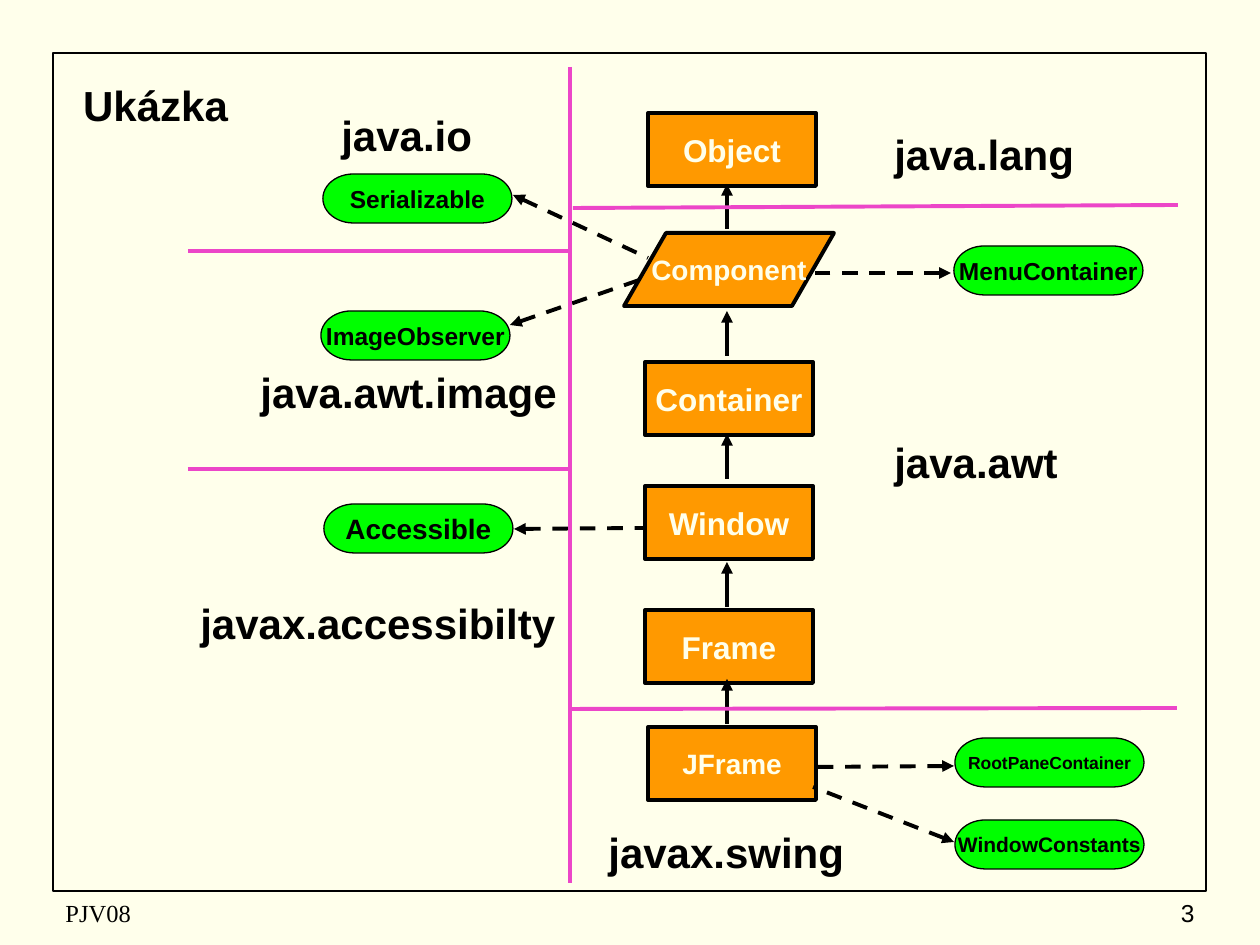
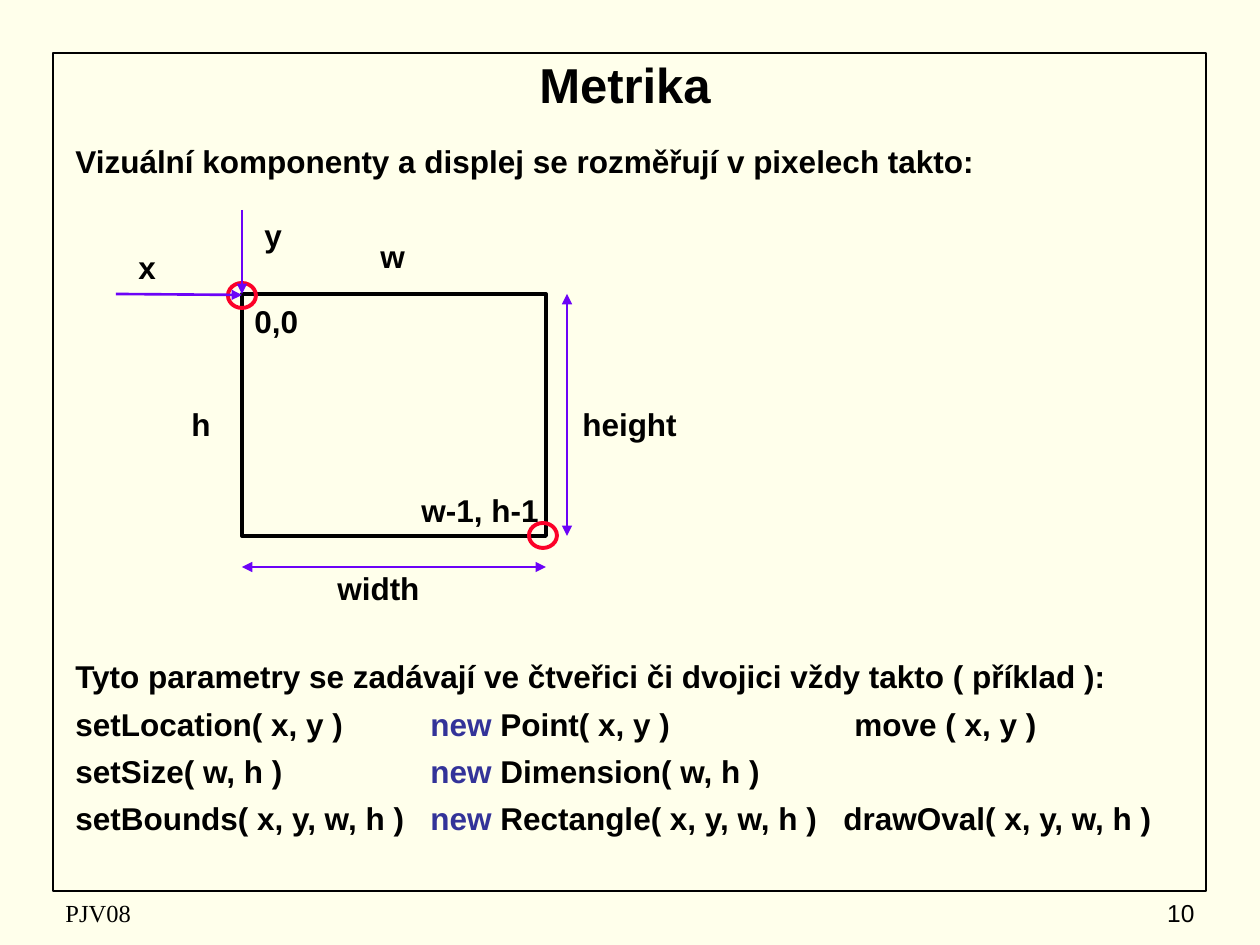
from collections import namedtuple

from lxml import etree
from pptx import Presentation
from pptx import util as u
from pptx.dml.color import RGBColor
from pptx.enum import dml, shapes, text
from pptx.oxml import ns

PX = u.Inches(1) / 126
TITLE_ONLY = 5
COLORS = {
    "paper": "FFFFEB", "ink": "000000", "class": "FF9900", "interface": "00FF00",
    "divider": "EC46C8", "measure": "6C03F7", "corner": "FC0128", "keyword": "333399",
}
Box = namedtuple("Box", "left top width height")
FRAME = Box(53, 53, 1153, 838)
LEFT, CENTER, RIGHT = text.PP_ALIGN.LEFT, text.PP_ALIGN.CENTER, text.PP_ALIGN.RIGHT
TOP, MIDDLE = text.MSO_ANCHOR.TOP, text.MSO_ANCHOR.MIDDLE


# Shared drawing helpers
def px(value):
    return u.Emu(round(value * PX))


def rgb(name):
    return RGBColor.from_string(COLORS[name])


def within(region, left, top, width, height):
    return Box(region.left + left, region.top + top, width, height)


def add_span(para, words, size, color="ink", bold=True, font="Arial"):
    span = para.add_run()
    span.text = words
    span.font.name = font
    span.font.size = u.Pt(size)
    span.font.bold = bold
    span.font.color.rgb = rgb(color)


def set_text(shape, words, size, align=CENTER, anchor=MIDDLE, wrap=True, **style):
    frame = shape.text_frame
    frame.auto_size = text.MSO_AUTO_SIZE.NONE
    frame.word_wrap = wrap
    frame.vertical_anchor = anchor
    frame.margin_left = frame.margin_right = u.Inches(0.1)
    frame.margin_top = frame.margin_bottom = u.Inches(0.05)
    para = frame.paragraphs[0]
    para.alignment = align
    if words:
        add_span(para, words, size, **style)
    return frame


def add_label(page, box, words, size, align=LEFT, anchor=TOP, **style):
    label = page.shapes.add_textbox(*map(px, box))
    return set_text(label, words, size, align, anchor, **style)


def add_outline(page, kind, box, line_width, line="ink", fill=None):
    shape = page.shapes.add_shape(kind, *map(px, box))
    shape.shadow.inherit = False
    if fill:
        shape.fill.solid()
        shape.fill.fore_color.rgb = rgb(fill)
    else:
        shape.fill.background()
    shape.line.color.rgb = rgb(line)
    shape.line.width = u.Pt(line_width)
    return shape


def add_line(page, region, ends, color="ink", width=2.25, dashed=False, arrows=()):
    """Draw from (x1, y1) to (x2, y2); arrows holds headEnd and/or tailEnd."""
    x1, y1, x2, y2 = ends
    line = page.shapes.add_connector(
        shapes.MSO_CONNECTOR.STRAIGHT,
        px(region.left + x1), px(region.top + y1),
        px(region.left + x2), px(region.top + y2))
    line.line.color.rgb = rgb(color)
    line.line.width = u.Pt(width)
    if dashed:
        line.line.dash_style = dml.MSO_LINE.DASH
    properties = line.line._get_or_add_ln()
    for arrow in arrows:
        etree.SubElement(properties, ns.qn("a:" + arrow), type="triangle")
    etree.SubElement(line._element.spPr, ns.qn("a:effectLst"))


def add_page(deck, title, box, size, anchor, number):
    page = deck.slides.add_slide(deck.slide_layouts[TITLE_ONLY])
    add_outline(page, shapes.MSO_SHAPE.RECTANGLE, FRAME, 1)
    heading = page.shapes.title
    heading.left, heading.top, heading.width, heading.height = map(px, box)
    set_text(heading, title, size, anchor=anchor)
    # Footer
    add_label(page, Box(53, 892, 398, 42), "PJV08", 14, anchor=MIDDLE,
              bold=False, font="Times New Roman")
    add_label(page, Box(945, 892, 262, 42), number, 14, RIGHT, MIDDLE, bold=False)
    return page


# Class diagram
def draw_classes(page, region):
    rectangle = shapes.MSO_SHAPE.RECTANGLE
    classes = [
        ("Object", 18, 3, 0, 168, rectangle),
        ("Component", 16, -21, 120, 210, shapes.MSO_SHAPE.FLOWCHART_DATA),
        ("Container", 18, 0, 249, 168, rectangle),
        ("Window", 18, 0, 373, 168, rectangle),
        ("Frame", 18, 0, 497, 168, rectangle),
        ("JFrame", 16, 3, 614, 168, rectangle),
    ]
    for name, size, left, top, width, kind in classes:
        shape = add_outline(page, kind, within(region, left, top, width, 73),
                            2.25, fill="class")
        set_text(shape, name, size, wrap=False, color="paper")
    for top in (71, 198, 321, 449, 566):
        add_line(page, region, (82, top, 82, top + 45), arrows=["headEnd"])


def draw_interfaces(page, region):
    # Name, text size, left, top, ends of the arrow from the class
    interfaces = [
        ("Serializable", 14, 270, 121, (595, 205, 460, 142)),
        ("ImageObserver", 14, 268, 258, (592, 225, 457, 272)),
        ("Accessible", 16, 271, 451, (592, 475, 461, 476)),
        ("MenuContainer", 14, 901, 193, (760, 220, 898, 220)),
        ("RootPaneContainer", 10, 902, 685, (762, 714, 901, 713)),
        ("WindowConstants", 12, 902, 767, (760, 734, 901, 789)),
    ]
    for name, size, left, top, (x1, y1, x2, y2) in interfaces:
        shape = add_outline(page, shapes.MSO_SHAPE.FLOWCHART_TERMINATOR,
                            within(region, left, top, 189, 49), 0.75, fill="interface")
        set_text(shape, name, size, wrap=False)
        add_line(page, region, (x2, y2, x1, y1), dashed=True, arrows=["headEnd"])


def draw_packages(page, region):
    packages = [
        ("java.io", 276, 50, 186), ("java.lang", 829, 69, 214),
        ("java.awt.image", 195, 307, 359), ("java.awt", 829, 377, 214),
        ("javax.accessibilty", 135, 538, 416), ("javax.swing", 543, 767, 272),
    ]
    for name, left, top, width in packages:
        add_label(page, within(region, left, top, width, 63), name, 24)
    dividers = [
        (517, 14, 517, 830), (135, 198, 518, 198), (135, 416, 518, 416),
        (520, 155, 1125, 152), (518, 656, 1124, 655),
    ]
    for ends in dividers:
        add_line(page, region, ends, "divider")


# Component metrics
def draw_metrics(page, region):
    wide, high = region.width, region.height
    add_outline(page, shapes.MSO_SHAPE.RECTANGLE, region, 2.25)
    labels = [
        ("x", -116, -52, 53), ("y", 10, -84, 63), ("w", 126, -63, 73),
        ("h", -63, 105, 42), ("0,0", 0, 2, 73), ("w-1, h-1", 167, 191, 147),
        ("width", 83, 269, 116), ("height", 328, 105, 126),
    ]
    for words, left, top, width in labels:
        add_label(page, within(region, left, top, width, 50), words, 18)
    for left, top in ((-14, -11), (287, 229)):
        add_outline(page, shapes.MSO_SHAPE.OVAL, within(region, left, top, 28, 25),
                    2.25, "corner")
    both = ["headEnd", "tailEnd"]
    measures = [
        ((0, 273, wide, 273), 1.5, both),
        ((325, high, 325, 0), 1.5, both),
        ((-126, 0, 0, 1), 1.5, ["tailEnd"]),
        ((0, -84, 0, 0), 1, ["tailEnd"]),
    ]
    for ends, width, arrows in measures:
        add_line(page, region, ends, "measure", width, arrows=arrows)


def add_tab_stops(para, stops):
    tabs = etree.SubElement(para._p.get_or_add_pPr(), ns.qn("a:tabLst"))
    for stop in stops:
        etree.SubElement(tabs, ns.qn("a:tab"), pos=str(px(stop)), algn="l")


def write_calls(page, region):
    frame = add_label(
        page, region,
        "Tyto parametry se zadávají ve čtveřici či dvojici vždy takto ( příklad ):", 18)
    # Method, constructor, further method and its tab stop
    calls = [
        ("setLocation( x, y )", "Point( x, y )", "move ( x, y )", 779),
        ("setSize( w, h )", "Dimension( w, h )", "", 779),
        ("setBounds( x, y, w, h )", "Rectangle( x, y, w, h )", "drawOval( x, y, w, h )", 768),
    ]
    for method, constructor, other, stop in calls:
        para = frame.add_paragraph()
        para.space_before = u.Pt(5.5)
        add_tab_stops(para, (355, stop))
        add_span(para, method + "\t", 18)
        add_span(para, "new", 18, "keyword")
        add_span(para, " " + constructor + ("\t" + other if other else ""), 18)


def main():
    deck = Presentation()
    deck.slide_width, deck.slide_height = u.Inches(10), u.Inches(7.5)
    background = deck.slide_master.background.fill
    background.solid()
    background.fore_color.rgb = rgb("paper")

    page = add_page(deck, "Ukázka", Box(63, 73, 185, 63), 24, TOP, "3")
    draw_classes(page, Box(645, 113, 168, 687))
    draw_interfaces(page, FRAME)
    draw_packages(page, FRAME)

    page = add_page(deck, "Metrika", Box(63, 42, 1124, 84), 28, MIDDLE, "10")
    add_label(page, Box(63, 136, 1155, 63),
              "Vizuální komponenty a displej se rozměřují v pixelech takto:", 18)
    draw_metrics(page, Box(242, 294, 304, 242))
    write_calls(page, Box(63, 651, 1134, 242))

    deck.save("out.pptx")


if __name__ == "__main__":
    main()
